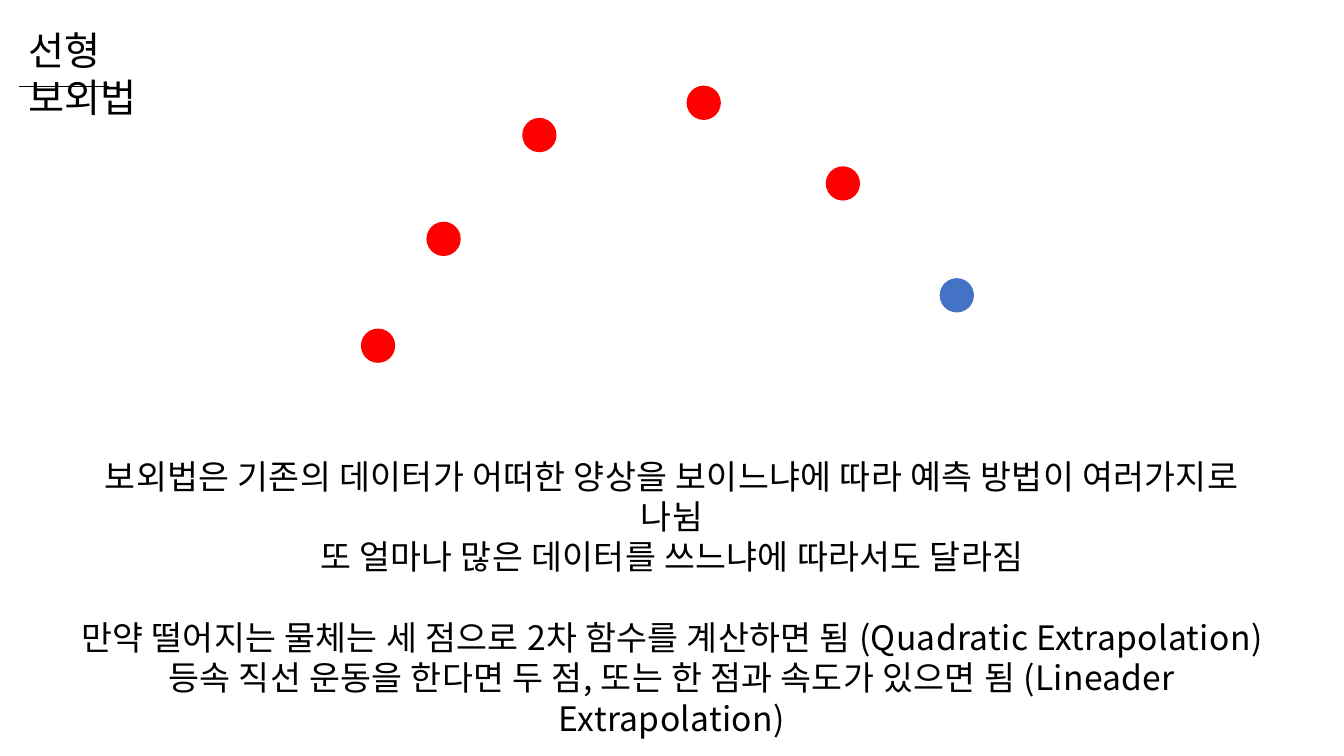
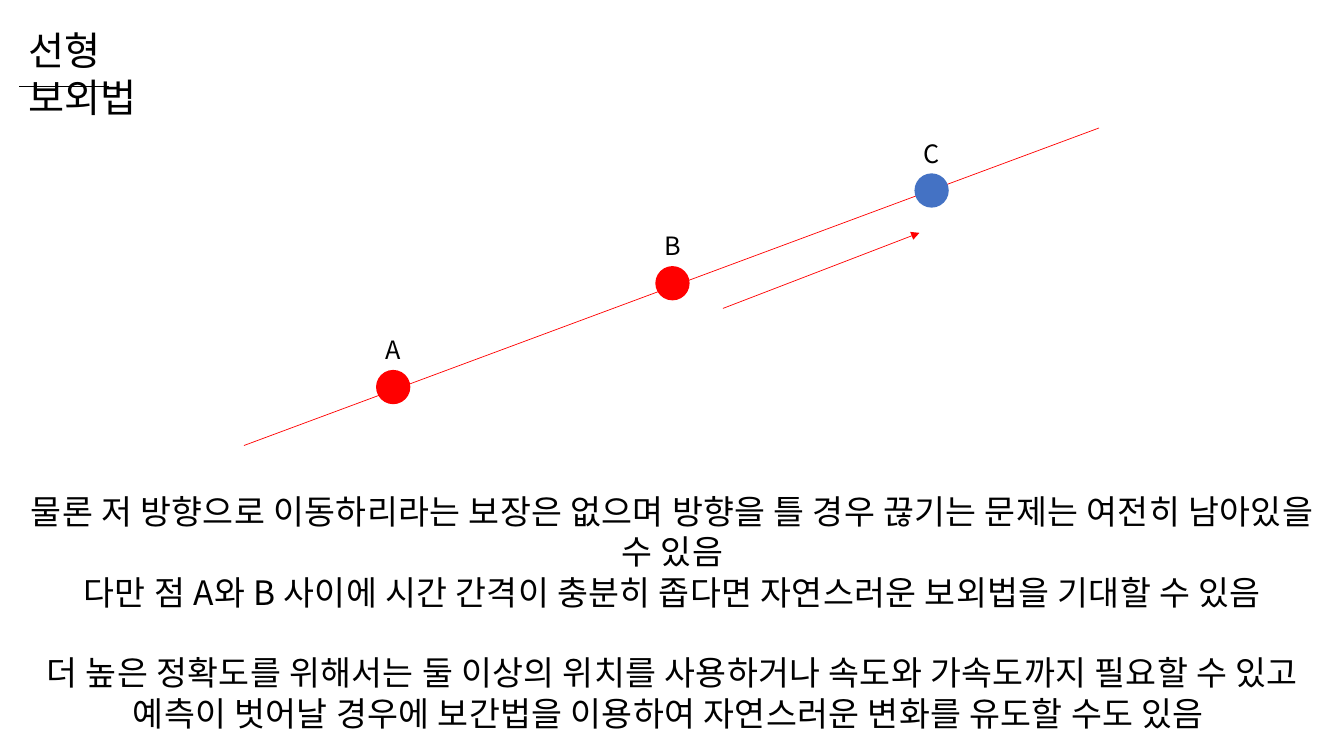
from dataclasses import dataclass

from lxml import etree
from pptx import Presentation
from pptx.dml.color import RGBColor
from pptx.enum import shapes, text
from pptx.oxml import ns
from pptx.util import Inches, Pt


@dataclass(frozen=True)
class Theme:
    font: str = "Noto Sans CJK KR"
    ink: RGBColor = RGBColor(0, 0, 0)
    known: RGBColor = RGBColor(0xFF, 0, 0)
    predicted: RGBColor = RGBColor(0x44, 0x72, 0xC4)
    title_size: int = 28
    body_size: int = 24
    label_size: int = 18
    line_spacing: float = 1.2
    body_tracking: float = 0.25
    line_width: float = 0.5
    dot: float = 0.34


@dataclass(frozen=True)
class Point:
    left: float
    top: float
    predicted: bool = False
    label: str = ""


@dataclass(frozen=True)
class Line:
    start: tuple[float, float]
    end: tuple[float, float]
    color: RGBColor
    arrow: bool = False


@dataclass(frozen=True)
class Page:
    body_box: tuple[float, float, float, float]
    body_groups: tuple[tuple[str, ...], ...]
    points: tuple[Point, ...]
    lines: tuple[Line, ...] = ()


THEME = Theme()
TITLE = "선형 보외법"
TITLE_BOX = (0.18, 0.21, 1.99, 0.57)
TITLE_RULE = Line((0.19, 0.86), (1.08, 0.86), THEME.ink)
LABEL_WIDTH, LABEL_HEIGHT = 0.36, 0.4

PAGES = (
    Page(
        body_box=(0.58, 4.47, 12.17, 2.12),
        body_groups=(
            ("보외법은 기존의 데이터가 어떠한 양상을 보이느냐에 따라 예측 방법이 여러가지로\v나뉨",
             "또 얼마나 많은 데이터를 쓰느냐에 따라서도 달라짐"),
            ("만약 떨어지는 물체는 세 점으로 2차 함수를 계산하면 됨 (Quadratic Extrapolation)",
             "등속 직선 운동을 한다면 두 점, 또는 한 점과 속도가 있으면 됨 (Lineader Extrapolation)"),
        ),
        points=(
            Point(3.58, 3.26), Point(4.23, 2.2), Point(5.18, 1.17),
            Point(6.81, 0.85), Point(8.19, 1.65), Point(9.32, 2.76, predicted=True),
        ),
    ),
    Page(
        body_box=(0.05, 4.82, 13.24, 2.12),
        body_groups=(
            ("물론 저 방향으로 이동하리라는 보장은 없으며 방향을 틀 경우 끊기는 문제는 여전히 남아있을\v수 있음",
             "다만 점 A와 B 사이에 시간 간격이 충분히 좁다면 자연스러운 보외법을 기대할 수 있음"),
            ("더 높은 정확도를 위해서는 둘 이상의 위치를 사용하거나 속도와 가속도까지 필요할 수 있고",
             "예측이 벗어날 경우에 보간법을 이용하여 자연스러운 변화를 유도할 수도 있음 "),
        ),
        points=(
            Point(3.73, 3.67, label="A"), Point(6.5, 2.64, label="B"),
            Point(9.07, 1.72, predicted=True, label="C"),
        ),
        lines=(
            Line((2.42, 4.42), (10.9, 1.27), THEME.known),
            Line((7.17, 3.06), (9.12, 2.31), THEME.known, arrow=True),
        ),
    ),
)


def place(shape, box: tuple[float, float, float, float]) -> None:
    shape.left, shape.top, shape.width, shape.height = map(Inches, box)


def format_text(frame, size: int, align: text.PP_ALIGN, tracking: float = 0) -> None:
    """Apply the shared type style to a filled text frame."""
    frame.word_wrap = True
    frame.auto_size = text.MSO_AUTO_SIZE.NONE
    frame.vertical_anchor = text.MSO_ANCHOR.TOP
    for paragraph in frame.paragraphs:
        paragraph.alignment = align
        paragraph.line_spacing = Pt(size * THEME.line_spacing)
        paragraph.space_before = paragraph.space_after = Pt(0)
        for run in paragraph.runs:
            run.font.size = Pt(size)
            run.font.name = THEME.font
            run.font.color.rgb = THEME.ink
            run.font._element.set("spc", str(round(tracking * 100)))
            east_asian = etree.Element(ns.qn("a:ea"), typeface=THEME.font)
            run.font._element.find(ns.qn("a:latin")).addnext(east_asian)


def fill_title(slide) -> None:
    title = slide.shapes.title
    place(title, TITLE_BOX)
    title.text_frame.text = TITLE
    format_text(title.text_frame, THEME.title_size, text.PP_ALIGN.LEFT)


def fill_body(slide, page: Page) -> None:
    """Write the centred lines, with one line of space between groups."""
    body = slide.placeholders[1]
    place(body, page.body_box)
    frame = body.text_frame
    frame.text = "\n".join(line for group in page.body_groups for line in group)
    format_text(frame, THEME.body_size, text.PP_ALIGN.CENTER, THEME.body_tracking)
    for paragraph in frame.paragraphs:
        properties = paragraph._p.get_or_add_pPr()
        properties.set("marL", "0")
        properties.set("indent", "0")
        etree.SubElement(properties, ns.qn("a:buNone"))
    second_group = frame.paragraphs[len(page.body_groups[0])]
    second_group.space_before = Pt(THEME.body_size * THEME.line_spacing)


def draw_line(slide, line: Line) -> None:
    connector = slide.shapes.add_connector(
        shapes.MSO_CONNECTOR.STRAIGHT, *map(Inches, line.start + line.end))
    connector.line.color.rgb = line.color
    connector.line.width = Pt(THEME.line_width)
    if line.arrow:
        etree.SubElement(connector.line._get_or_add_ln(), ns.qn("a:tailEnd"), type="triangle")
    etree.SubElement(connector._element.spPr, ns.qn("a:effectLst"))


def draw_point(slide, point: Point) -> None:
    dot = slide.shapes.add_shape(
        shapes.MSO_SHAPE.OVAL,
        *map(Inches, (point.left, point.top, THEME.dot, THEME.dot)))
    dot.shadow.inherit = False
    dot.fill.solid()
    dot.fill.fore_color.rgb = THEME.predicted if point.predicted else THEME.known
    dot.line.fill.background()
    if point.label:
        draw_label(slide, point)


def draw_label(slide, point: Point) -> None:
    """Centre the point's letter just above its dot."""
    left = point.left + (THEME.dot - LABEL_WIDTH) / 2
    label = slide.shapes.add_textbox(
        *map(Inches, (left, point.top - LABEL_HEIGHT, LABEL_WIDTH, LABEL_HEIGHT)))
    frame = label.text_frame
    frame.margin_left = frame.margin_right = 0
    frame.text = point.label
    format_text(frame, THEME.label_size, text.PP_ALIGN.CENTER)


def main() -> None:
    deck = Presentation()
    deck.slide_width, deck.slide_height = Inches(13.33), Inches(7.5)
    for page in PAGES:
        slide = deck.slides.add_slide(deck.slide_layouts[1])
        fill_title(slide)
        fill_body(slide, page)
        for line in (TITLE_RULE, *page.lines):
            draw_line(slide, line)
        for point in page.points:
            draw_point(slide, point)
    deck.save("out.pptx")


if __name__ == "__main__":
    main()
